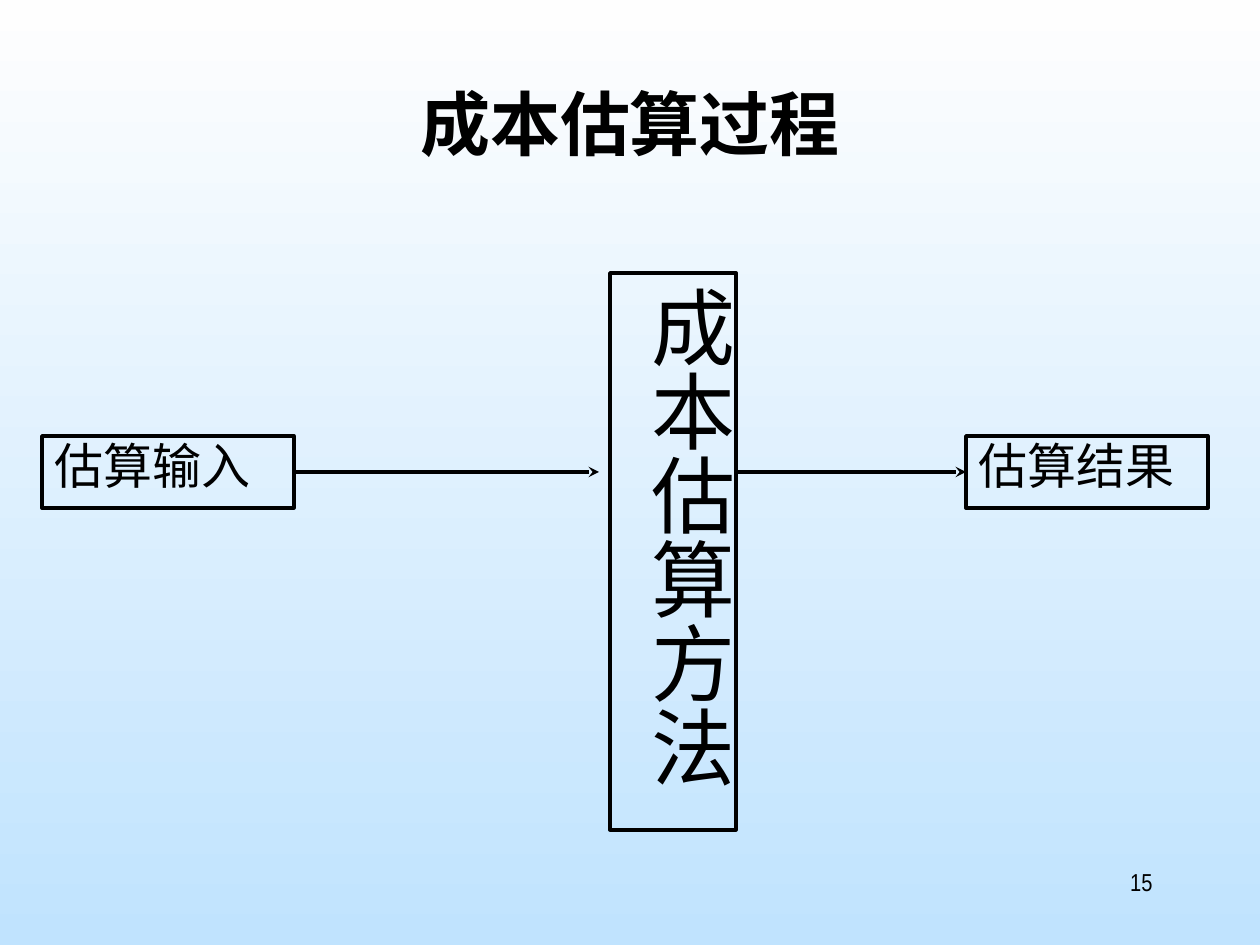
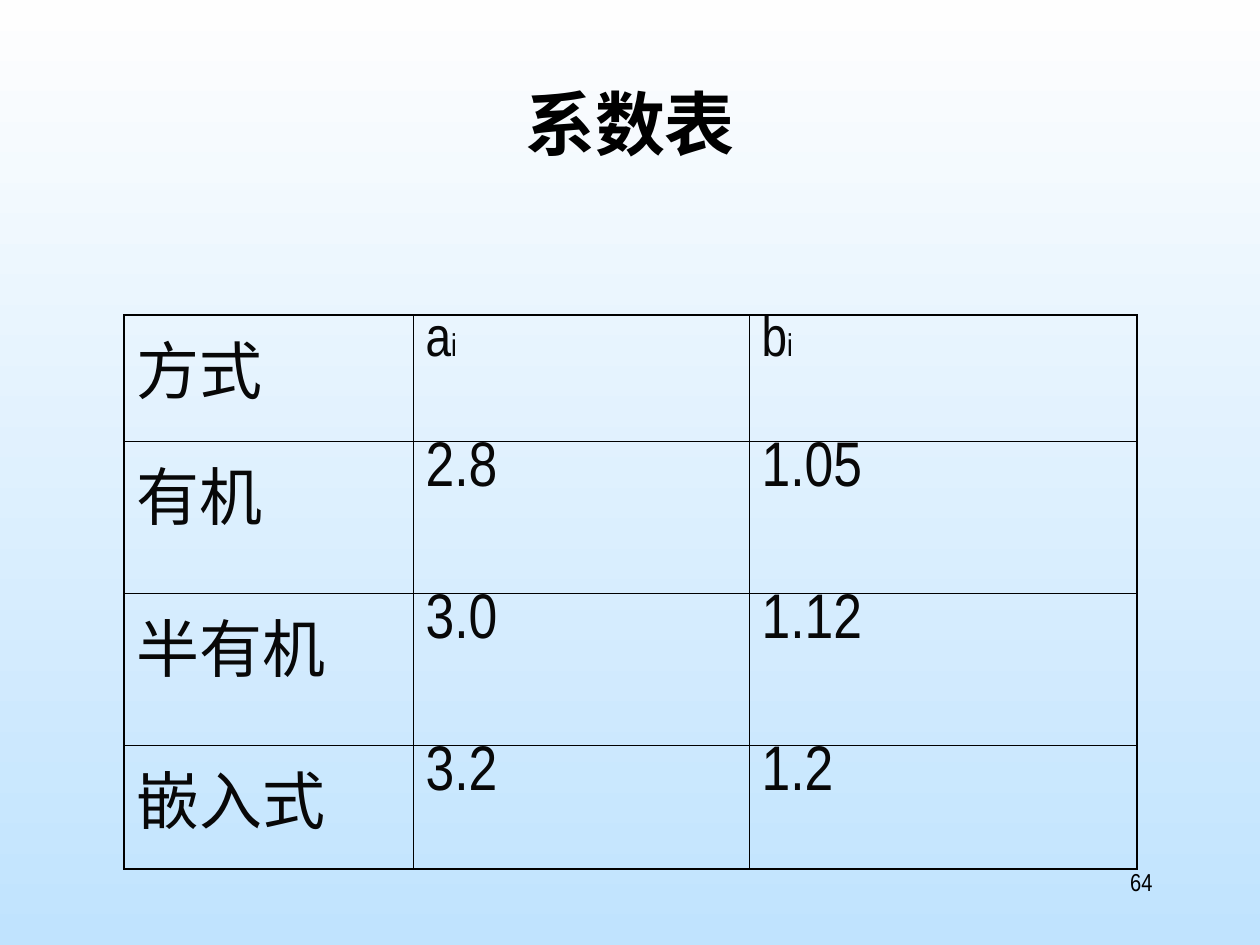
from dataclasses import dataclass

from lxml.etree import SubElement
from pptx import Presentation
from pptx.dml.color import RGBColor
from pptx.enum.shapes import MSO_CONNECTOR, MSO_SHAPE
from pptx.enum.text import MSO_ANCHOR, PP_ALIGN
from pptx.oxml.ns import qn
from pptx.util import Emu, Pt


@dataclass(frozen=True)
class Theme:
    ink: str = "000000"
    table_ink: str = "080808"
    sky_top: str = "FEFEFE"
    sky_bottom: str = "C0E3FE"
    latin: str = "Arial Narrow"
    chinese: str = "Noto Sans CJK SC"
    title_size: int = 40
    step_size: int = 28
    method_size: int = 48
    mode_size: int = 36
    symbol_size: int = 32
    index_size: int = 18
    page_size: int = 14
    stroke: float = 2
    outer_border: float = 1.08
    inner_border: float = 0.45


THEME = Theme()
PX_PER_INCH = 126
WIDE_INSET, NARROW_INSET = Pt(7.2), Pt(3.6)
FRAME = dict(word_wrap=True, vertical_anchor=MSO_ANCHOR.TOP,
             margin_left=WIDE_INSET, margin_right=WIDE_INSET,
             margin_top=NARROW_INSET, margin_bottom=NARROW_INSET)
VERTICAL_FRAME = FRAME | dict(margin_left=NARROW_INSET, margin_right=NARROW_INSET,
                              margin_top=WIDE_INSET, margin_bottom=WIDE_INSET)


def px(length):
    return Emu(round(length * 914400 / PX_PER_INCH))


def apply(target, formats):
    for name, value in formats.items():
        setattr(target, name, value)


def write(paragraph, pieces, color=THEME.ink, latin=THEME.latin, bold=False,
          align=PP_ALIGN.LEFT, spacing=1.0):
    apply(paragraph, dict(alignment=align, line_spacing=spacing))
    for wording, size in pieces:
        run = paragraph.add_run()
        run.text = wording
        apply(run.font, dict(size=Pt(size), bold=bold, name=latin))
        run.font.color.rgb = RGBColor.from_string(color)
        SubElement(run.font._element, qn("a:ea"), typeface=THEME.chinese)


def add_label(slide, bounds, wording, size, **style):
    label = slide.shapes.add_textbox(*map(px, bounds))
    apply(label.text_frame, FRAME)
    write(label.text_frame.paragraphs[0], [(wording, size)], **style)


def add_page(deck, title, number):
    slide = deck.slides.add_slide(deck.slide_layouts[6])
    add_label(slide, (95, 84, 1070, 158), title, THEME.title_size,
              latin=THEME.chinese, bold=True, align=PP_ALIGN.CENTER, spacing=0.9)
    add_label(slide, (903, 861, 262, 63), number, THEME.page_size,
              align=PP_ALIGN.RIGHT)
    return slide


def add_step(slide, bounds, wording, size, vertical=False):
    step = slide.shapes.add_shape(MSO_SHAPE.RECTANGLE, *map(px, bounds))
    step.shadow.inherit = False
    step.fill.background()
    step.line.color.rgb = RGBColor.from_string(THEME.ink)
    step.line.width = Pt(THEME.stroke)
    apply(step.text_frame, VERTICAL_FRAME if vertical else FRAME)
    if vertical:
        step.text_frame._txBody.bodyPr.set("vert", "eaVert")
    write(step.text_frame.paragraphs[0], [(wording, size)], spacing=0.9,
          align=PP_ALIGN.CENTER if vertical else PP_ALIGN.LEFT)
    return step


def add_arrow(slide, start, end, y):
    arrow = slide.shapes.add_connector(MSO_CONNECTOR.STRAIGHT,
                                       px(start), px(y), px(end), px(y))
    arrow.line.color.rgb = RGBColor.from_string(THEME.ink)
    arrow.line.width = Pt(THEME.stroke)
    SubElement(arrow.line._get_or_add_ln(), qn("a:tailEnd"), type="stealth")
    SubElement(arrow._element.spPr, qn("a:effectLst"))
    return arrow


def add_border(cell, side, width):
    edge = SubElement(cell._tc.get_or_add_tcPr(), qn(f"a:ln{side}"), w=str(Pt(width)))
    SubElement(SubElement(edge, qn("a:solidFill")), qn("a:srgbClr"), val=THEME.ink)


def add_coefficients(slide, left, top, widths, heights, rows):
    bounds = map(px, (left, top, sum(widths), sum(heights)))
    table = slide.shapes.add_table(len(rows), len(widths), *bounds).table
    apply(table, dict(first_row=False, horz_banding=False))
    for column, width in zip(table.columns, widths):
        column.width = px(width)
    for row, height in zip(table.rows, heights):
        row.height = px(height)
    for r, values in enumerate(rows):
        for c, pieces in enumerate(values):
            cell = table.cell(r, c)
            apply(cell, {k: v for k, v in FRAME.items() if k != "word_wrap"})
            write(cell.text_frame.paragraphs[0], pieces, color=THEME.table_ink,
                  spacing=1.0 if c == 0 else 0.84)
            outer = dict(L=c == 0, R=c == len(widths) - 1,
                         T=r == 0, B=r == len(rows) - 1)
            for side, is_outer in outer.items():
                add_border(cell, side,
                           THEME.outer_border if is_outer else THEME.inner_border)
            cell.fill.background()


def paint_background(deck):
    sky = deck.slide_master.background.fill
    sky.gradient()
    sky.gradient_angle = 270
    colors = (THEME.sky_top, THEME.sky_bottom)
    for position, (stop, color) in enumerate(zip(sky.gradient_stops, colors)):
        stop.position = position
        stop.color.rgb = RGBColor.from_string(color)


def build_process(deck):
    slide = add_page(deck, "成本估算过程", "15")
    estimate_input = add_step(slide, (42, 436, 252, 72), "估算输入", THEME.step_size)
    estimate_result = add_step(slide, (966, 436, 242, 72), "估算结果", THEME.step_size)
    add_step(slide, (610, 273, 126, 557), "成本估算方法", THEME.method_size,
             vertical=True)
    add_arrow(slide, 294, 599, 472).begin_connect(estimate_input, 3)
    add_arrow(slide, 735, 966, 472).end_connect(estimate_result, 1)


def build_coefficients(deck):
    slide = add_page(deck, "系数表", "64")
    header = [[("方式", THEME.mode_size)]] + [
        [(symbol, THEME.symbol_size), ("i", THEME.index_size)] for symbol in "ab"]
    modes = [("有机", "2.8", "1.05"), ("半有机", "3.0", "1.12"), ("嵌入式", "3.2", "1.2")]
    rows = [header] + [[[(value, THEME.mode_size)] for value in mode] for mode in modes]
    add_coefficients(slide, 124, 315, (289, 336, 388), (126, 152, 152, 124), rows)


def main():
    deck = Presentation()
    apply(deck, dict(slide_width=px(1260), slide_height=px(945)))
    paint_background(deck)
    build_process(deck)
    build_coefficients(deck)
    deck.save("out.pptx")


if __name__ == "__main__":
    main()
